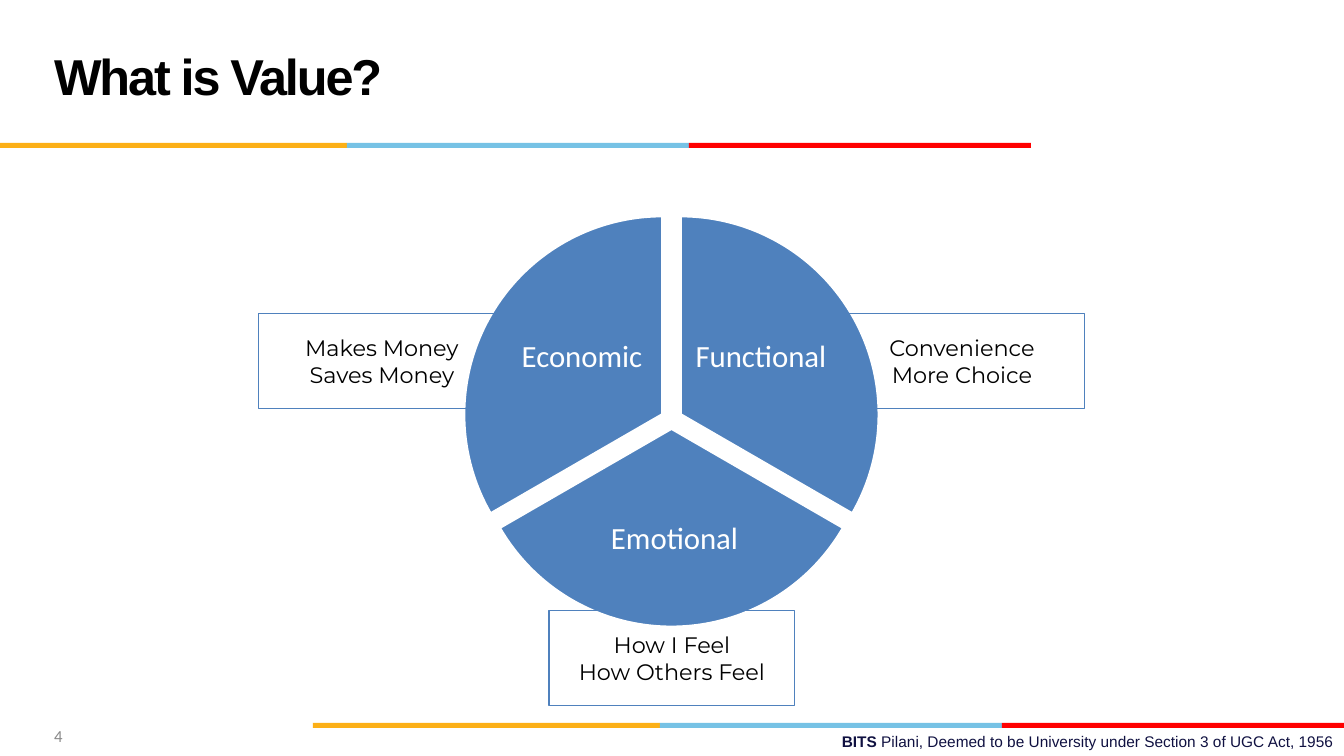
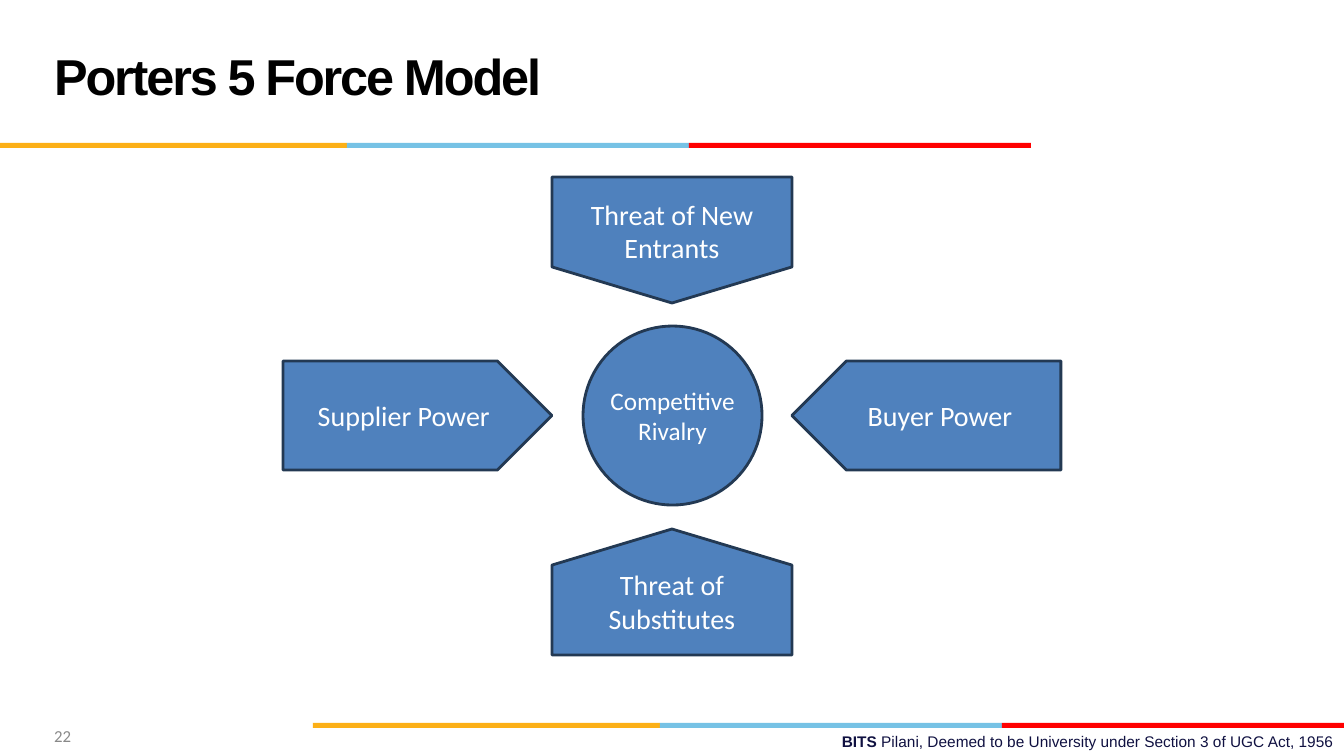
from dataclasses import dataclass
from typing import NamedTuple

from pptx import Presentation
from pptx.dml.color import RGBColor
from pptx.enum.shapes import MSO_SHAPE as Preset
from pptx.enum.text import MSO_ANCHOR as Anchor, MSO_AUTO_SIZE as AutoSize, PP_ALIGN as Align
from pptx.shapes.autoshape import Shape
from pptx.slide import Slide
from pptx.text.text import TextFrame
from pptx.util import Emu, Pt

EMU_PER_PX = 914400 / 100.8
SLIDE_WIDTH, SLIDE_HEIGHT = 1344, 756
TITLE_ONLY = 5
DEGREE = 0.6
COLORS = {
    "amber": "FCB017", "sky": "76C2E5", "red": "FF0000", "navy": "101141",
    "blue": "4F81BD", "edge": "233953", "white": "FFFFFF", "black": "000000",
    "grey": "898989",
}
STRIPE = (("amber", 347), ("sky", 342), ("red", 342))
STRIPE_HEIGHT = 5
FOOTER = "Pilani, Deemed to be University under Section 3 of UGC Act, 1956"


class Box(NamedTuple):
    """Left, top, width and height in px."""
    left: int
    top: int
    width: int
    height: int


class Insets(NamedTuple):
    """Text margins in px."""
    left: int = 10
    top: int = 5
    right: int = 10
    bottom: int = 5


class TextStyle(NamedTuple):
    """Font of a run."""
    face: str
    size: int
    color: str
    bold: bool = False


@dataclass(frozen=True)
class Sector:
    """One third of the value circle, with its label."""
    label: str
    start: int
    end: int
    left: int
    top: int
    label_box: Box


@dataclass(frozen=True)
class Benefit:
    """Outlined box with examples of one kind of value."""
    examples: tuple[str, ...]
    left: int
    top: int


@dataclass(frozen=True)
class Force:
    """Pentagon that points at the centre of the model."""
    label: str
    box: Box
    flipped: bool = False
    vertical: bool = False


TITLE = TextStyle("Arial", 36, "black", True)
FOOTER_NAME = TextStyle("Arial", 11, "navy", True)
FOOTER_REST = TextStyle("Arial", 11, "navy")
NUMBER = TextStyle("Calibri", 12, "grey")
SECTOR_LABEL = TextStyle("Calibri", 22, "white")
EXAMPLE = TextStyle("Montserrat", 16, "black")
FORCE_LABEL = TextStyle("Calibri", 20, "white")
RIVALRY_LABEL = TextStyle("Calibri", 18, "white")

CIRCLE = 397
SECTORS = (
    Sector("Functional", 270, 30, 482, 216, Box(690, 299, 142, 118)),
    Sector("Emotional", 30, 150, 473, 230, Box(568, 488, 213, 104)),
    Sector("Economic", 150, 270, 464, 216, Box(511, 299, 142, 118)),
)
BENEFITS = (
    Benefit(("Makes Money", "Saves Money"), 259, 314),
    Benefit(("Convenience", "More Choice"), 839, 314),
    Benefit(("How I Feel", "How Others Feel"), 549, 611),
)
FORCES = (
    Force("Supplier Power", Box(283, 361, 269, 109)),
    Force("Buyer Power", Box(792, 361, 269, 109), flipped=True),
    Force("Threat of Substitutes", Box(609, 472, 126, 240), flipped=True, vertical=True),
    Force("Threat of New Entrants", Box(609, 120, 126, 240), vertical=True),
)


def px(length: float) -> Emu:
    """Turn px into EMU."""
    return Emu(round(length * EMU_PER_PX))


def rgb(name: str) -> RGBColor:
    """Look up a colour."""
    return RGBColor.from_string(COLORS[name])


def place(box: Box) -> tuple[Emu, ...]:
    """Turn a box into EMU."""
    return tuple(px(side) for side in box)


def write(frame: TextFrame, paragraphs: tuple, align: Align = Align.CENTER,
          insets: Insets = Insets(), anchor: Anchor = Anchor.MIDDLE,
          spacing: float | Pt | None = None) -> None:
    """Fill a frame with paragraphs, each a sequence of text and style pairs."""
    frame.word_wrap = True
    frame.auto_size = AutoSize.NONE
    frame.vertical_anchor = anchor
    frame.margin_left, frame.margin_top, frame.margin_right, frame.margin_bottom = place(insets)
    for index, parts in enumerate(paragraphs):
        paragraph = frame.add_paragraph() if index else frame.paragraphs[0]
        paragraph.alignment = align
        if spacing:
            paragraph.line_spacing = spacing
        for text, style in parts:
            run = paragraph.add_run()
            run.text = text
            run.font.name = style.face
            run.font.size = Pt(style.size)
            run.font.bold = style.bold
            run.font.color.rgb = rgb(style.color)


def add_text(slide: Slide, box: Box, *parts: tuple[str, TextStyle], **layout) -> None:
    """Add a text box with one paragraph."""
    write(slide.shapes.add_textbox(*place(box)).text_frame, (parts,), **layout)


def add_preset(slide: Slide, preset: Preset, box: Box, fill: str | None = None,
               line: str | None = None, weight: float = 2) -> Shape:
    """Add a flat preset shape."""
    shape = slide.shapes.add_shape(preset, *place(box))
    shape.shadow.inherit = False
    if fill:
        shape.fill.solid()
        shape.fill.fore_color.rgb = rgb(fill)
    else:
        shape.fill.background()
    if line:
        shape.line.color.rgb = rgb(line)
        shape.line.width = Pt(weight)
    else:
        shape.line.fill.background()
    return shape


def add_stripe(slide: Slide, left: int, top: int) -> None:
    """Add the three-coloured stripe."""
    for color, width in STRIPE:
        add_preset(slide, Preset.RECTANGLE, Box(left, top, width, STRIPE_HEIGHT), color)
        left += width


def add_slide(deck: Presentation, title: str, number: int) -> Slide:
    """Add a slide with title, stripes, footer and number."""
    slide = deck.slides.add_slide(deck.slide_layouts[TITLE_ONLY])
    heading = slide.shapes.title
    heading.left, heading.top, heading.width, heading.height = place(Box(44, 17, 929, 126))
    write(heading.text_frame, (((title, TITLE),),), Align.LEFT, spacing=Pt(36))
    heading.text_frame.paragraphs[0].runs[0]._r.get_or_add_rPr().set("spc", "-150")
    add_stripe(slide, 0, 143)
    add_stripe(slide, SLIDE_WIDTH - sum(width for _, width in STRIPE), 723)
    add_text(slide, Box(482, 727, 862, 29), ("BITS ", FOOTER_NAME), (FOOTER, FOOTER_REST),
             align=Align.RIGHT, anchor=Anchor.TOP)
    add_text(slide, Box(44, 716, 313, 40), (str(number), NUMBER), align=Align.LEFT)
    return slide


def add_sector(slide: Slide, sector: Sector) -> None:
    """Add a sector and its label."""
    pie = add_preset(slide, Preset.PIE, Box(sector.left, sector.top, CIRCLE, CIRCLE),
                     "blue", "white")
    pie.adjustments[0] = sector.start * DEGREE
    pie.adjustments[1] = sector.end * DEGREE
    add_text(slide, sector.label_box, (sector.label, SECTOR_LABEL),
             insets=Insets(3, 3, 3, 3), spacing=0.9)


def add_benefit(slide: Slide, benefit: Benefit) -> None:
    """Add an outlined box of examples."""
    frame = add_preset(slide, Preset.RECTANGLE, Box(benefit.left, benefit.top, 246, 95),
                       line="blue", weight=0.75)
    write(frame.text_frame, tuple(((example, EXAMPLE),) for example in benefit.examples),
          insets=Insets(10, 10, 10, 10))


def add_force(slide: Slide, force: Force) -> None:
    """Add a pentagon, turned upright text included."""
    pentagon = add_preset(slide, Preset.PENTAGON, force.box, "blue", "edge")
    write(pentagon.text_frame, (((force.label, FORCE_LABEL),),))
    if force.flipped:
        pentagon._element.spPr.xfrm.set("flipH", "1")
    if force.vertical:
        pentagon.rotation = 90
        pentagon.adjustments[0] = 0.286
        pentagon.text_frame._txBody.bodyPr.set("vert", "vert270")


def build_value(deck: Presentation) -> None:
    """Build the slide on kinds of value."""
    slide = add_slide(deck, "What is Value?", 4)
    for sector in SECTORS:
        add_sector(slide, sector)
    for benefit in BENEFITS:
        add_benefit(slide, benefit)


def build_forces(deck: Presentation) -> None:
    """Build the slide on the five forces."""
    slide = add_slide(deck, "Porters 5 Force Model", 22)
    for force in FORCES:
        add_force(slide, force)
    rivalry = add_preset(slide, Preset.OVAL, Box(583, 326, 179, 179), "blue", "edge")
    write(rivalry.text_frame, ((("Competitive Rivalry", RIVALRY_LABEL),),),
          insets=Insets(0, 5, 0, 5))


def main() -> None:
    """Build and save the deck."""
    deck = Presentation()
    deck.slide_width, deck.slide_height = px(SLIDE_WIDTH), px(SLIDE_HEIGHT)
    build_value(deck)
    build_forces(deck)
    deck.save("out.pptx")


if __name__ == "__main__":
    main()
